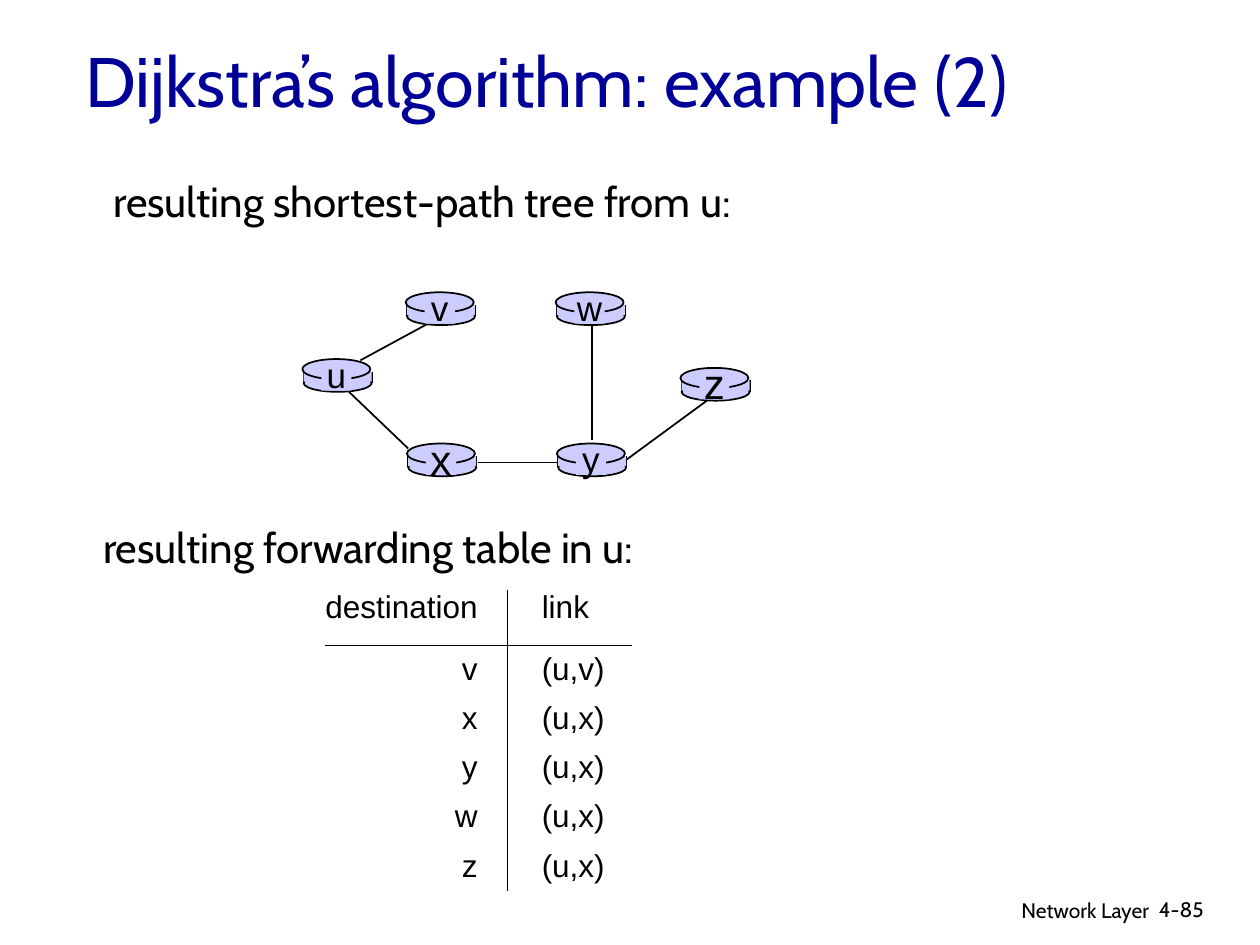
from lxml.etree import SubElement
from pptx import Presentation
from pptx.dml.color import RGBColor
from pptx.enum.shapes import MSO_CONNECTOR, MSO_SHAPE
from pptx.enum.text import MSO_ANCHOR, PP_ALIGN
from pptx.oxml import parse_xml
from pptx.oxml.ns import nsdecls, qn
from pptx.util import Inches, Pt

BLACK = RGBColor(0x00, 0x00, 0x00)
NAVY = RGBColor(0x00, 0x00, 0x99)
LAVENDER = RGBColor(0xCC, 0xCC, 0xFF)

ROUTERS = [
    ("u", 0, 0.53, 20),
    ("x", 0.83, 1.2, 24),
    ("v", 0.82, 0, 20),
    ("w", 2.01, 0, 20),
    ("y", 2.02, 1.2, 20),
    ("z", 3, 0.6, 24),
]
TREE_LINKS = [
    (0.46, 0.54, 1.05, 0.22),
    (2.3, 0.27, 2.3, 1.17),
    (2.57, 1.33, 3.21, 0.86),
    (1.39, 1.35, 2.03, 1.35),
    (0.37, 0.79, 0.84, 1.24),
]
FORWARDING = [
    ("destination", "link"),
    ("v", "(u,v)"),
    ("x", "(u,x)"),
    ("y", "(u,x)"),
    ("w", "(u,x)"),
    ("z", "(u,x)"),
]


def style_text(paragraph, size, font, color=BLACK, align=PP_ALIGN.LEFT):
    paragraph.alignment = align
    paragraph.font.size = Pt(size)
    paragraph.font.name = font
    paragraph.font.color.rgb = color


def add_text(slide, box, text, size, font="Cabin", color=BLACK,
             align=PP_ALIGN.LEFT, anchor=MSO_ANCHOR.TOP):
    frame = slide.shapes.add_textbox(*map(Inches, box)).text_frame
    frame.word_wrap = True
    frame.vertical_anchor = anchor
    frame.text = text
    style_text(frame.paragraphs[0], size, font, color, align)


def add_line(slide, x1, y1, x2, y2):
    line = slide.shapes.add_connector(
        MSO_CONNECTOR.STRAIGHT, *map(Inches, (x1, y1, x2, y2)))
    line.line.color.rgb = BLACK
    line.line.width = Pt(1)
    SubElement(line._element.spPr, qn("a:effectLst"))


def add_lavender(slide, preset, box, outlined=False):
    part = slide.shapes.add_shape(preset, *map(Inches, box))
    part.shadow.inherit = False
    part.fill.solid()
    part.fill.fore_color.rgb = LAVENDER
    if outlined:
        part.line.color.rgb = BLACK
        part.line.width = Pt(1)
    else:
        part.line.fill.background()


def draw_router(slide, left, top, name, size):
    add_lavender(slide, MSO_SHAPE.OVAL, (left + 0.01, top + 0.12, 0.54, 0.14), True)
    for side in (left + 0.01, left + 0.55):
        add_line(slide, side, top + 0.1, side, top + 0.19)
    add_lavender(slide, MSO_SHAPE.RECTANGLE, (left + 0.01, top + 0.1, 0.54, 0.08))
    add_lavender(slide, MSO_SHAPE.OVAL, (left, top, 0.54, 0.16), True)
    add_lavender(slide, MSO_SHAPE.RECTANGLE, (left + 0.15, top + 0.02, 0.24, 0.23))
    add_text(slide, (left + 0.07, top - 0.12, 0.4, 0.48), name, size, "Arial",
             align=PP_ALIGN.CENTER, anchor=MSO_ANCHOR.MIDDLE)


def draw_tree(slide, left, top):
    for x1, y1, x2, y2 in TREE_LINKS:
        add_line(slide, left + x1, top + y1, left + x2, top + y2)
    for name, x, y, size in ROUTERS:
        draw_router(slide, left + x, top + y, name, size)


def set_borders(cell, visible):
    properties = cell._tc.get_or_add_tcPr()
    for index, side in enumerate(("lnL", "lnR", "lnT", "lnB")):
        paint = ('<a:solidFill><a:srgbClr val="000000"/></a:solidFill>'
                 if side in visible else "<a:noFill/>")
        properties.insert(index, parse_xml(
            f'<a:{side} {nsdecls("a")} w="9525">{paint}</a:{side}>'))


def draw_forwarding_table(slide, left, top, width, height):
    table = slide.shapes.add_table(
        len(FORWARDING), 2, *map(Inches, (left, top, width, height))).table
    table.first_row = table.horz_banding = False
    table.columns[0].width = Inches(1.45)
    table.columns[1].width = Inches(width - 1.45)
    header_height = 0.44
    row_height = (height - header_height) / (len(FORWARDING) - 1)
    for row, entries in enumerate(FORWARDING):
        table.rows[row].height = Inches(row_height if row else header_height)
        for column, entry in enumerate(entries):
            cell = table.cell(row, column)
            cell.text = entry
            cell.margin_top = cell.margin_bottom = 0
            cell.margin_left = Inches(0.27 if column else 0)
            cell.margin_right = Inches(0 if column else 0.24)
            cell.vertical_anchor = MSO_ANCHOR.MIDDLE if row else MSO_ANCHOR.TOP
            style_text(cell.text_frame.paragraphs[0], 18, "Arial",
                       align=PP_ALIGN.LEFT if column else PP_ALIGN.RIGHT)
            cell.fill.background()
            visible = {"lnL" if column else "lnR"}
            if row < 2:
                visible.add("lnT" if row else "lnB")
            set_borders(cell, visible)


def draw_footer(slide, left, top):
    add_text(slide, (left, top, 3.17, 0.31), "Network Layer", 12,
             align=PP_ALIGN.RIGHT)
    add_text(slide, (left + 3.05, top, 0.74, 0.3), "4-85", 12)


def main():
    presentation = Presentation()
    presentation.slide_width = Inches(10)
    presentation.slide_height = Inches(7.5)
    slide = presentation.slides.add_slide(presentation.slide_layouts[6])
    draw_footer(slide, 6.05, 7.07)
    add_text(slide, (0.58, 0.17, 8.5, 0.93), "Dijkstra’s algorithm: example (2)",
             40, color=NAVY, anchor=MSO_ANCHOR.MIDDLE)
    draw_tree(slide, 2.4, 2.32)
    add_text(slide, (0.8, 1.34, 5.75, 0.5), "resulting shortest-path tree from u:", 24)
    draw_forwarding_table(slide, 2.58, 4.68, 2.44, 2.39)
    add_text(slide, (0.72, 4.09, 5.06, 0.5), "resulting forwarding table in u:", 24)
    presentation.save("out.pptx")


if __name__ == "__main__":
    main()
